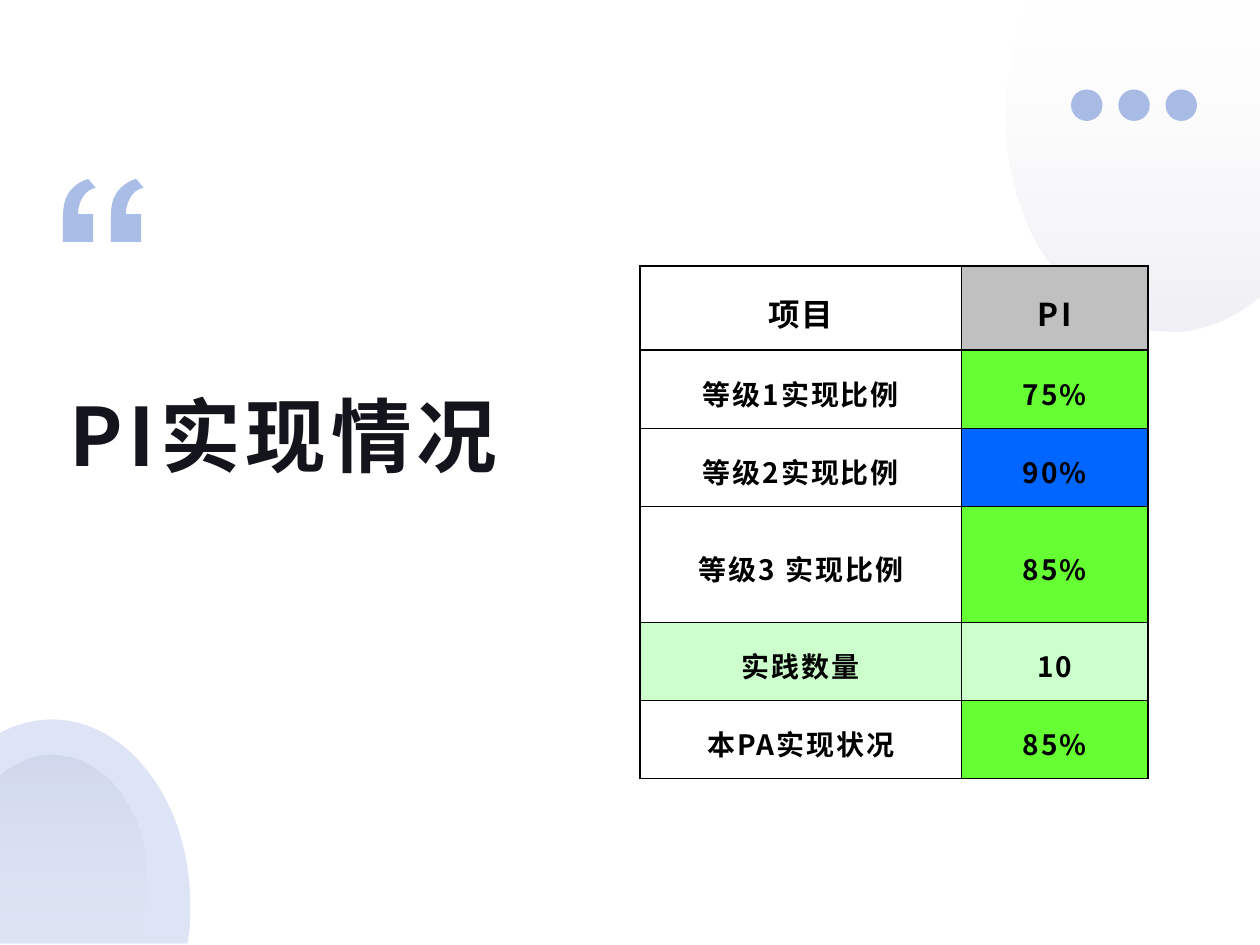
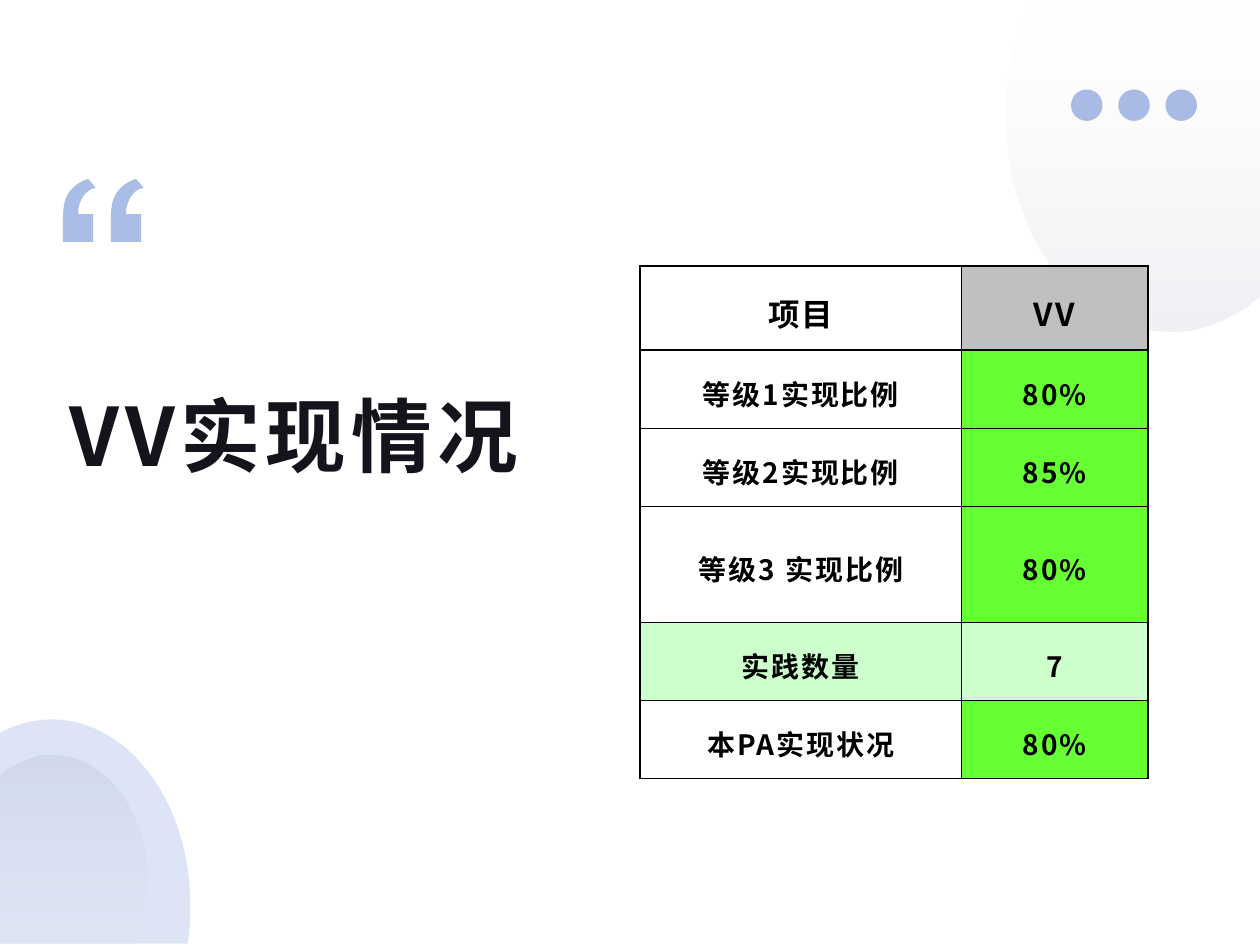
from lxml.etree import SubElement
from pptx import Presentation
from pptx.dml.color import RGBColor
from pptx.enum.shapes import MSO_SHAPE
from pptx.enum.text import MSO_ANCHOR, PP_ALIGN
from pptx.oxml import parse_xml
from pptx.oxml.ns import nsdecls, qn
from pptx.util import Inches, Pt

FONT = "Noto Sans CJK SC"
BLUE, INK, BLACK, WHITE, SILVER = "577CCE", "14141D", "000000", "FFFFFF", "BEBED2"
GRAY, GREEN, STRONG_BLUE, MINT = "C0C0C0", "66FF33", "0066FF", "CCFFCC"
PALE_GRADIENT = [(WHITE, 10), (SILVER, 24)]

prs = Presentation()
prs.slide_width, prs.slide_height = Inches(10), Inches(7.5)
col, row = prs.slide_width / 10, prs.slide_height / 7.5


def paint(fill, *stops, angle=270):
    """Fill with one (hex, opacity %) stop, or a gradient between two."""
    if len(stops) == 1:
        fill.solid()
        colors = [fill.fore_color]
    else:
        fill.gradient()
        fill.gradient_angle = angle
        colors = [stop.color for stop in fill.gradient_stops]
    for color, (value, _) in zip(colors, stops):
        color.rgb = RGBColor.from_string(value)
    for clr, (_, opacity) in zip(fill._xPr.iter(qn("a:srgbClr")), stops):
        if opacity < 100:
            SubElement(clr, qn("a:alpha"), val=str(opacity * 1000))


def write(tf, text, size, color=BLACK, spacing=1.2, align=PP_ALIGN.CENTER, leading=1.2):
    p = tf.paragraphs[0]
    p.alignment, p.line_spacing = align, leading
    r = p.add_run()
    r.text = text
    r.font.size, r.font.bold = Pt(size), True
    paint(r.font.fill, (color, 100))
    r.font.name = FONT
    rPr = r.font._element
    rPr.set("spc", str(round(spacing * 100)))
    SubElement(rPr, qn("a:ea"), typeface=FONT)


# Outlines: a start point, then lines (x, y) and cubic curves (x1, y1, x2, y2, x, y)
top_disc = [(8.19, 0), (10, 0), (10, 2.34), (9.9, 2.42), (9.71, 2.55, 9.5, 2.63, 9.28, 2.63),
            (8.56, 2.63, 7.98, 1.87, 7.98, 0.92), (7.98, 0.63, 8.04, 0.35, 8.14, 0.11)]
inner_disc = [(1.04, 7.5), (0, 7.5), (0, 6.16), (0.06, 6.11), (0.16, 6.04, 0.29, 5.99, 0.41, 5.99),
              (0.83, 5.99, 1.16, 6.43, 1.16, 6.97), (1.16, 7.14, 1.13, 7.3, 1.07, 7.44)]
outer_disc = [(0.41, 5.71), (1.02, 5.71, 1.51, 6.37, 1.51, 7.18),
              (1.51, 7.28, 1.51, 7.38, 1.49, 7.48), (1.49, 7.49), (0, 7.49), (0, 5.82),
              (0.01, 5.81), (0.13, 5.75, 0.27, 5.71, 0.41, 5.71)]
quote = [(0.74, 1.7), (0.74, 1.92), (0.5, 1.92), (0.5, 1.74), (0.5, 1.65, 0.51, 1.59, 0.54, 1.54),
         (0.57, 1.49, 0.63, 1.44, 0.7, 1.42), (0.76, 1.49),
         (0.71, 1.5, 0.68, 1.53, 0.66, 1.56), (0.64, 1.59, 0.62, 1.64, 0.62, 1.7)]
QUOTE_STEP = 0.38

# Outline, horizontal offsets of its repeats, fill stops, gradient angle
decorations = [
    (top_disc, [0], PALE_GRADIENT, 270),
    (inner_disc, [0], PALE_GRADIENT, 90),
    (outer_disc, [0], [(BLUE, 20)], 0),
    (quote, [0, QUOTE_STEP], [(BLUE, 50)], 0),
]

labels = ["项目", "等级1实现比例", "等级2实现比例", "等级3 实现比例", "实践数量", "本PA实现状况"]
row_heights = [0.67, 0.62, 0.62, 0.92, 0.62, 0.62]
label_fills = [WHITE, WHITE, WHITE, WHITE, MINT, WHITE]
areas = [
    ("PI", ["75%", "90%", "85%", "10", "85%"], [GREEN, STRONG_BLUE, GREEN, MINT, GREEN]),
    ("VV", ["80%", "85%", "80%", "7", "80%"], [GREEN, GREEN, GREEN, MINT, GREEN]),
]

for area, values, value_fills in areas:
    s = prs.slides.add_slide(prs.slide_layouts[6])

    shapes = []
    for outline, offsets, stops, angle in decorations:
        builder = None
        for dx in offsets:
            points = [(round((x + dx) * col), round(y * row))
                      for segment in outline for x, y in zip(segment[::2], segment[1::2])]
            if builder is None:
                builder = s.shapes.build_freeform(*points[0])
            else:
                builder.move_to(*points[0])
            builder.add_line_segments(points[1:], close=True)
        sp = builder.convert_to_shape()

        # Join the three lines of each curve segment into one cubic curve
        lines = sp.element.iter(qn("a:lnTo"))
        lines = iter(list(lines))
        for segment in outline[1:] * len(offsets):
            first = next(lines)
            if len(segment) == 6:
                first.tag = qn("a:cubicBezTo")
                for line in (next(lines), next(lines)):
                    first.append(line[0])
                    line.getparent().remove(line)
        shapes.append((sp, stops, angle))

    for i in range(3):
        dot = s.shapes.add_shape(MSO_SHAPE.OVAL, round((8.5 + i * 0.375) * col), round(0.71 * row),
                                 round(0.25 * col), round(0.25 * row))
        shapes.append((dot, [(BLUE, 50)], 0))

    for sp, stops, angle in shapes:
        sp.shadow.inherit = False
        sp.line.fill.background()
        paint(sp.fill, *stops, angle=angle)

    title = s.shapes.add_textbox(round(0.5 * col), round(2.61 * row),
                                 round(3.69 * col), round(1.67 * row))
    tf = title.text_frame
    tf.word_wrap, tf.vertical_anchor = True, MSO_ANCHOR.MIDDLE
    tf.margin_left = tf.margin_right = Inches(0.05)
    tf.margin_top = tf.margin_bottom = Inches(0.02)
    write(tf, area + "实现情况", 46, color=INK, spacing=3, align=PP_ALIGN.LEFT, leading=1)

    table = s.shapes.add_table(len(labels), 2, round(5.08 * col), round(2.11 * row),
                               round(4.03 * col), round(sum(row_heights) * row)).table
    table.first_row = table.horz_banding = False
    for column, width in zip(table.columns, [2.55, 1.48]):
        column.width = round(width * col)
    for table_row, height in zip(table.rows, row_heights):
        table_row.height = round(height * row)

    columns = [(labels, label_fills), ([area] + values, [GRAY] + value_fills)]
    for c, (texts, fills) in enumerate(columns):
        for i, (text, color) in enumerate(zip(texts, fills)):
            cell = table.cell(i, c)
            cell.vertical_anchor = MSO_ANCHOR.MIDDLE
            cell.margin_left = cell.margin_right = Inches(0.19)
            cell.margin_top = cell.margin_bottom = Inches(0.12)
            size, spacing = (18, 1.3) if i == 0 else (16, 1.2)
            write(cell.text_frame, text, size, spacing=spacing)
            paint(cell.fill, (color, 100))
            tcPr = cell._tc.get_or_add_tcPr()
            for k, side in enumerate(["lnL", "lnR", "lnT", "lnB"]):
                tcPr.insert(k, parse_xml(
                    f'<a:{side} {nsdecls("a")} w="{Pt(1)}"><a:solidFill>'
                    f'<a:srgbClr val="{BLACK}"/></a:solidFill></a:{side}>'))

prs.save("out.pptx")
